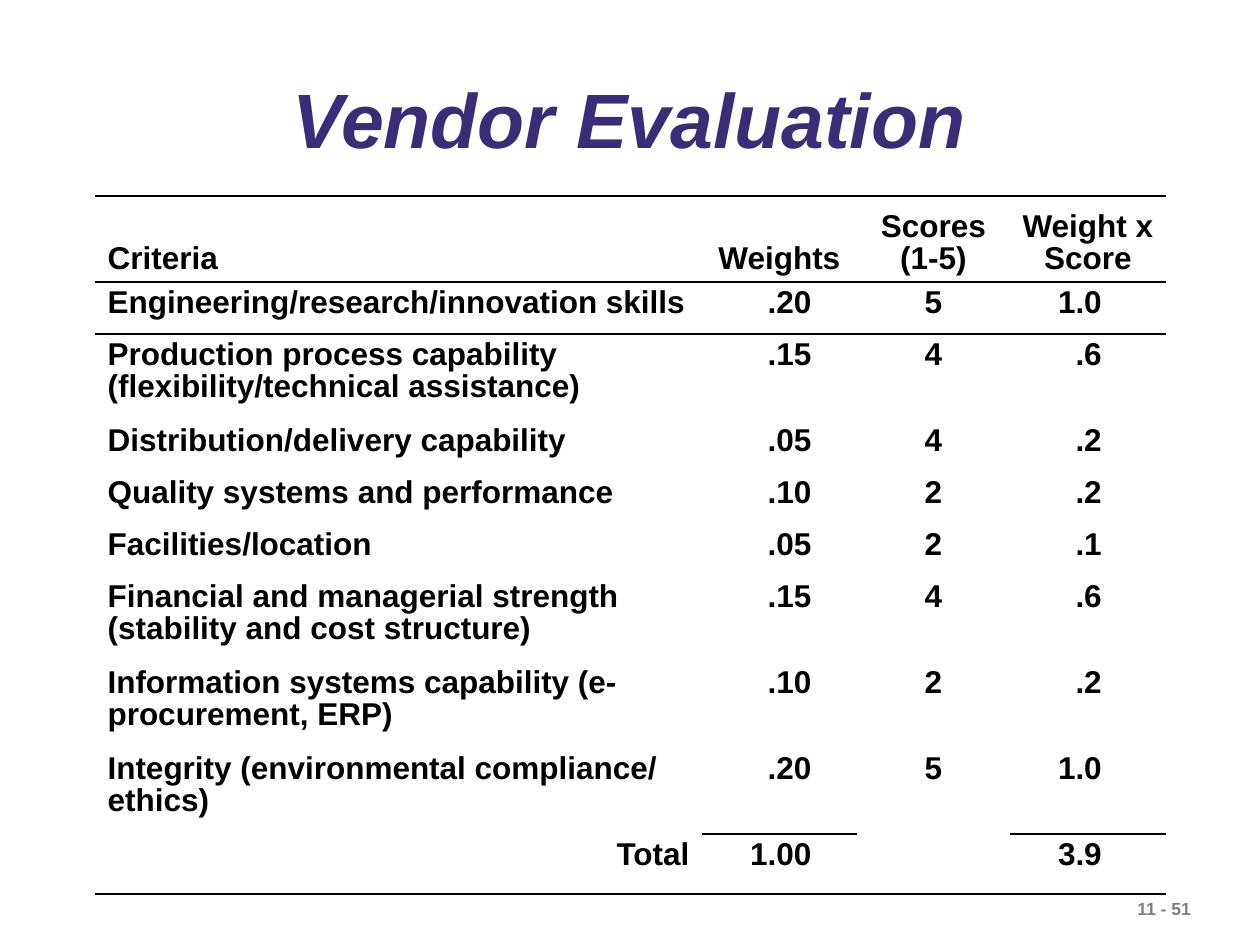
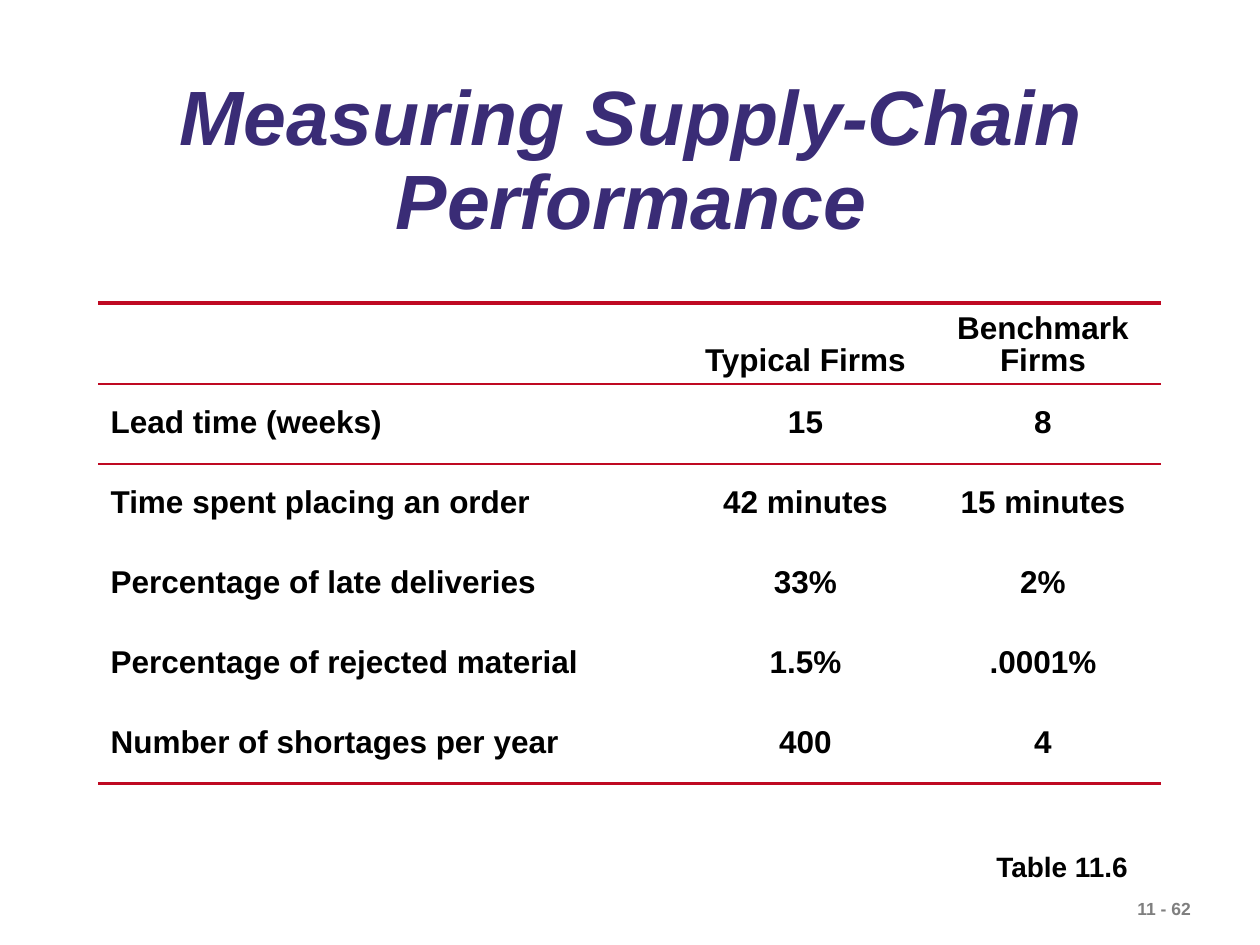
from dataclasses import dataclass

from lxml import etree
from pptx import Presentation
from pptx import util as u
from pptx.dml.color import RGBColor
from pptx.enum import text
from pptx.oxml import ns

LEFT, CENTER, RIGHT = text.PP_ALIGN.LEFT, text.PP_ALIGN.CENTER, text.PP_ALIGN.RIGHT
TOP, MIDDLE, BOTTOM = text.MSO_ANCHOR.TOP, text.MSO_ANCHOR.MIDDLE, text.MSO_ANCHOR.BOTTOM


@dataclass(frozen=True)
class Theme:
    font: str = "Arial"
    title_color: str = "3A2C76"
    ink: str = "000000"
    red: str = "BF0922"
    gray: str = "7F7F7F"
    title_size: int = 44
    table_size: int = 18
    caption_size: int = 16
    footer_size: int = 10
    line_spacing: float = 0.9
    cell_space_after: int = 9
    thin: float = 1.08
    medium: float = 1.47
    thick: float = 2.21
    no_grid_style: str = "{2D5ABB26-0587-4C30-8999-92F81FD0307C}"


T = Theme()


def px(n):
    return u.Emu(round(n * 914400 / 126))


def add_run(p, words, size, color, italic=False):
    r = p.add_run()
    r.text = words
    r.font.name = T.font
    r.font.size = u.Pt(size)
    r.font.bold = True
    r.font.italic = italic
    r.font.color.rgb = RGBColor.from_string(color)


def add_text(s, box, words, size, color):
    tf = s.shapes.add_textbox(*map(px, box)).text_frame
    tf.word_wrap = True
    p = tf.paragraphs[0]
    add_run(p, words, size, color)
    return tf


def add_title(s, box, words):
    tf = add_text(s, box, words, T.title_size, T.title_color)
    tf.vertical_anchor = MIDDLE
    p = tf.paragraphs[0]
    p.alignment = CENTER
    p.line_spacing = T.line_spacing
    p.runs[0].font.italic = True


def add_slide(prs, title_box, title, page):
    s = prs.slides.add_slide(prs.slide_layouts[6])
    add_text(s, (1125, 892, 144, 34), page, T.footer_size, T.gray)
    add_title(s, title_box, title)
    return s


def add_decimal_tab(p, pos):
    tabs = etree.SubElement(p._p.get_or_add_pPr(), ns.qn("a:tabLst"))
    etree.SubElement(tabs, ns.qn("a:tab"), pos=str(px(pos)), algn="dec")


def add_border(cell, side, width, color):
    ln = etree.SubElement(cell._tc.get_or_add_tcPr(), ns.qn(f"a:{side}"), w=str(u.Pt(width)))
    fill = etree.SubElement(ln, ns.qn("a:solidFill"))
    etree.SubElement(fill, ns.qn("a:srgbClr"), val=color)


def fill_cell(cell, words, align, anchor):
    cell.vertical_anchor = anchor
    if not words:
        return
    p = cell.text_frame.paragraphs[0]
    p.alignment = align
    p.line_spacing = T.line_spacing
    p.space_after = u.Pt(T.cell_space_after)
    if words.startswith("\t"):
        add_decimal_tab(p, 53)
    add_run(p, words, T.table_size, T.ink)


def add_table(s, left, top, cols, heights, rows, body_anchor, rules, color):
    shape = s.shapes.add_table(len(rows), len(cols), px(left), px(top),
                               px(sum(cols)), px(sum(heights)))
    table = shape.table
    table.first_row = table.horz_banding = False
    table._tbl.tblPr.find(ns.qn("a:tableStyleId")).text = T.no_grid_style
    for col, width in zip(table.columns, cols):
        col.width = px(width)
    for i, (values, height) in enumerate(zip(rows, heights)):
        table.rows[i].height = px(height)
        for j, words in enumerate(values):
            cell = table.cell(i, j)
            for side, edge in (("lnT", i), ("lnB", i + 1)):
                width, ruled = rules.get(edge, (0, ()))
                if j in ruled:
                    add_border(cell, side, width, color)
            cell.fill.background()
            if words.startswith("\t") or j == 0:
                align = LEFT
            else:
                align = CENTER
            fill_cell(cell, words, align, body_anchor if i else BOTTOM)
    return table


def vendor_slide(prs):
    s = add_slide(prs, (94, 58, 1071, 131), "Vendor Evaluation", "11 - 51")
    criteria = [
        ("Engineering/research/innovation skills", ".20", "5", "1.0"),
        ("Production process capability (flexibility/technical assistance)", ".15", "4", ".6"),
        ("Distribution/delivery capability", ".05", "4", ".2"),
        ("Quality systems and performance", ".10", "2", ".2"),
        ("Facilities/location", ".05", "2", ".1"),
        ("Financial and managerial strength (stability and cost structure)", ".15", "4", ".6"),
        ("Information systems capability (e-procurement, ERP)", ".10", "2", ".2"),
        ("Integrity (environmental compliance/ ethics)", ".20", "5", "1.0"),
        ("Total", "1.00", "", "3.9"),
    ]
    rows = [("Criteria", "Weights", "Scores (1-5)", "Weight x Score")]
    rows += [(name, "\t" + weight, score, "\t" + product)
             for name, weight, score, product in criteria]
    one_line, two_lines, total = 52, 86, 60
    heights = [two_lines, one_line, two_lines] + [one_line] * 3 + [two_lines] * 3 + [total]
    every = range(4)
    rules = {0: (T.medium, every), 1: (T.thin, every),
             9: (T.thin, (1, 3)), 10: (T.medium, every)}
    table = add_table(s, 95, 196, (607, 155, 153, 156), heights, rows, TOP, rules, T.ink)
    table.cell(9, 0).text_frame.paragraphs[0].alignment = RIGHT


def performance_slide(prs):
    s = add_slide(prs, (100, 72, 1063, 181), "Measuring Supply-Chain Performance", "11 - 62")
    add_text(s, (984, 843, 160, 47), "Table 11.6", T.caption_size, T.ink)
    rows = [
        ("", "Typical Firms", "Benchmark Firms"),
        ("Lead time (weeks)", "15", "8"),
        ("Time spent placing an order", "42 minutes", "15 minutes"),
        ("Percentage of late deliveries", "33%", "2%"),
        ("Percentage of rejected material", "1.5%", ".0001%"),
        ("Number of shortages per year", "400", "4"),
    ]
    every = range(3)
    rules = {0: (T.thick, every), 1: (T.thin, every), 6: (T.thick, every)}
    add_table(s, 98, 303, (588, 239, 236), [81] + [80] * 5, rows, MIDDLE, rules, T.red)


def main():
    prs = Presentation()
    prs.slide_width, prs.slide_height = px(1260), px(945)
    vendor_slide(prs)
    performance_slide(prs)
    prs.save("out.pptx")


if __name__ == "__main__":
    main()
